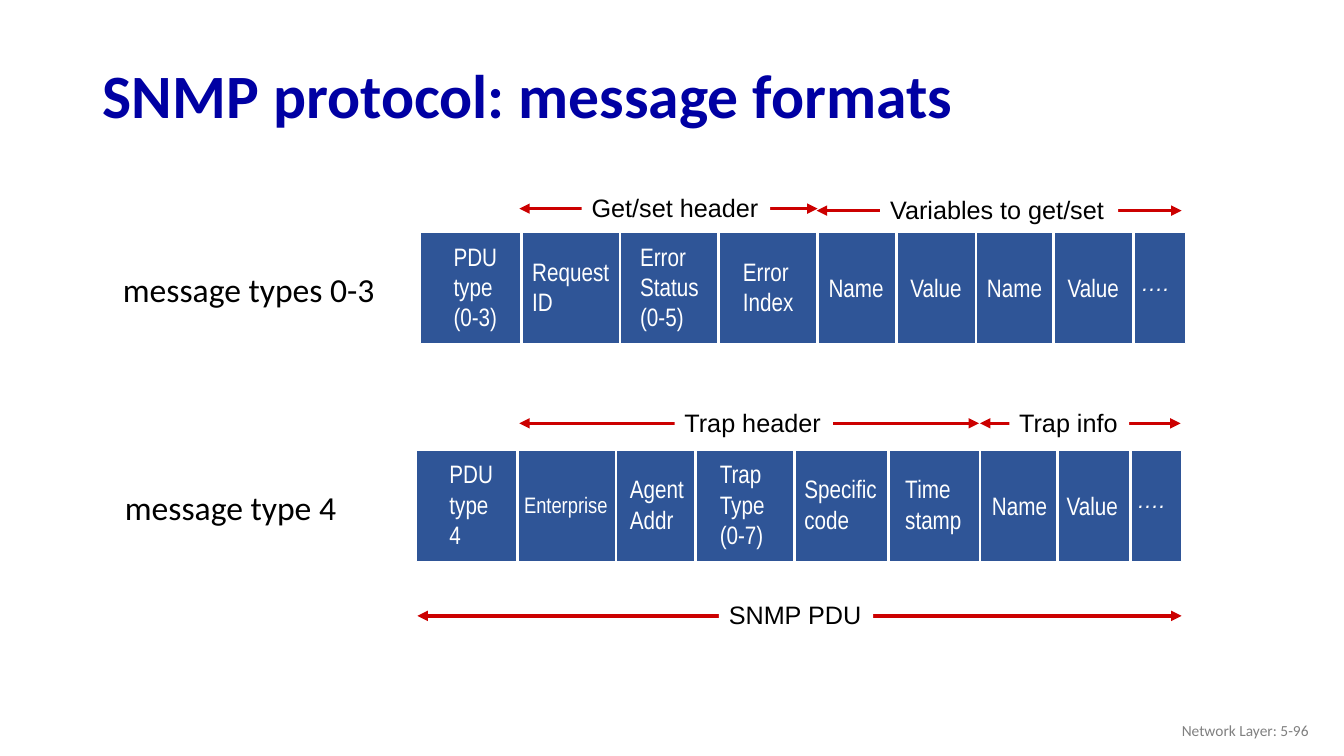
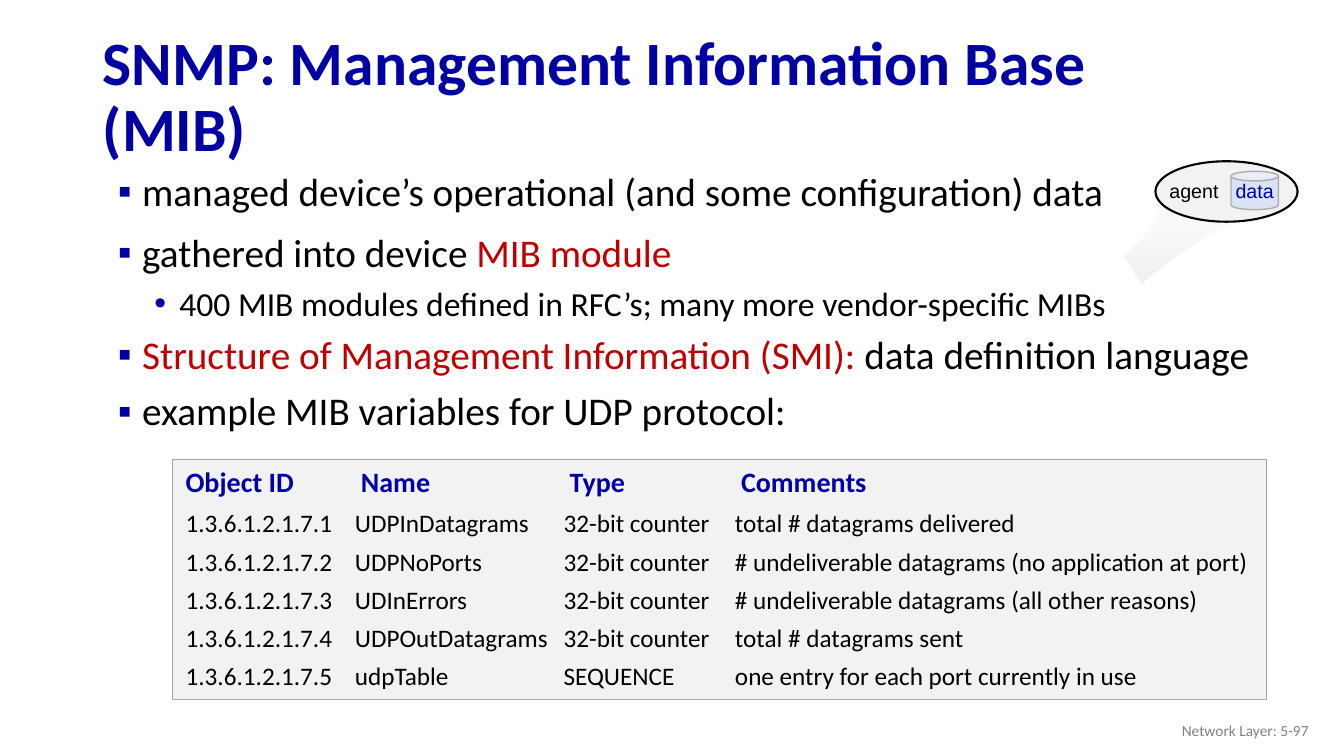
from lxml import etree
from pptx import Presentation
from pptx.dml.color import RGBColor
from pptx.enum.shapes import MSO_CONNECTOR, MSO_SHAPE
from pptx.enum.text import MSO_ANCHOR, MSO_AUTO_SIZE, PP_ALIGN
from pptx.oxml.ns import qn
from pptx.util import Inches, Pt

LEFT, CENTER, RIGHT = PP_ALIGN.LEFT, PP_ALIGN.CENTER, PP_ALIGN.RIGHT
MIDDLE = MSO_ANCHOR.MIDDLE
RECTANGLE, OVAL, CAN = MSO_SHAPE.RECTANGLE, MSO_SHAPE.OVAL, MSO_SHAPE.CAN
STRAIGHT = MSO_CONNECTOR.STRAIGHT

TITLE_BLUE = RGBColor(0x00, 0x00, 0xA3)
TEXT_BLUE = RGBColor(0x00, 0x00, 0xA8)
BAND_BLUE = RGBColor(0x2F, 0x55, 0x97)
PALE_BLUE = RGBColor(0xDA, 0xE3, 0xF3)
ARROW_RED = RGBColor(0xCC, 0x00, 0x00)
TERM_RED = RGBColor(0xC0, 0x00, 0x00)
BLACK = RGBColor(0x00, 0x00, 0x00)
WHITE = RGBColor(0xFF, 0xFF, 0xFF)
PANEL_GRAY = RGBColor(0xF2, 0xF2, 0xF2)
BORDER_GRAY = RGBColor(0xA6, 0xA6, 0xA6)
CAN_GRAY = RGBColor(0xAF, 0xAB, 0xAB)
FOOTER_GRAY = RGBColor(0x80, 0x80, 0x80)

prs = Presentation()
prs.slide_width, prs.slide_height = Inches(13.33), Inches(7.5)


def add_text(slide, text, left, top, width, height, font, size, color, align=LEFT):
    box = slide.shapes.add_textbox(Inches(left), Inches(top), Inches(width), Inches(height))
    frame = box.text_frame
    frame.text = text
    frame.word_wrap = True
    frame.vertical_anchor = MIDDLE
    if align == LEFT:
        frame.margin_right = 0
    for paragraph in frame.paragraphs:
        paragraph.alignment = align
        paragraph.font.name, paragraph.font.size = font, Pt(size)
        paragraph.font.color.rgb = color
    return box


def add_shape(slide, kind, left, top, width, height, fill, line, line_width):
    shape = slide.shapes.add_shape(kind, Inches(left), Inches(top), Inches(width), Inches(height))
    shape.shadow.inherit = False
    shape.fill.solid()
    shape.fill.fore_color.rgb = fill
    shape.line.color.rgb = line
    shape.line.width = Pt(line_width)
    return shape


# Titles and footers
slides = []
for layout_index, title_text, page in [
    (5, "SNMP protocol: message formats", 96),
    (1, "SNMP: Management Information Base (MIB)", 97),
]:
    slide = prs.slides.add_slide(prs.slide_layouts[layout_index])
    title = slide.shapes.title
    title.left, title.top = Inches(0.92), Inches(0.49)
    title.width, title.height = Inches(11.5), Inches(0.98)
    title.text_frame.text = title_text
    title.text_frame.auto_size = MSO_AUTO_SIZE.NONE
    title.text_frame.vertical_anchor = MIDDLE
    heading = title.text_frame.paragraphs[0]
    heading.alignment = LEFT
    heading.line_spacing = 0.9
    heading.font.name, heading.font.size, heading.font.bold = "Calibri", Pt(44), True
    heading.font.color.rgb = TITLE_BLUE
    add_text(slide, f"Network Layer: 5-{page}", 10.08, 7.05, 3, 0.4, "Calibri", 11, FOOTER_GRAY, RIGHT)
    slides.append(slide)
formats_slide, mib_slide = slides

# Message formats: each field has a text, the left of its text box and its width;
# the dividers stand between the fields
BAND_WIDTH, BAND_HEIGHT = 7.59, 1.1
messages = [
    ("message types 0-3", 1.12, 4.17, 2.31, [5.17, 6.15, 7.13, 8.11, 8.89, 9.68, 10.45, 11.24], [
        ("PDU\ntype\n(0-3)", 4.4, 0.64), ("Request\nID", 5.18, 0.97),
        ("Error\nStatus\n(0-5)", 6.25, 0.79), ("Error\nIndex", 7.27, 0.71),
        ("Name", 8.12, 0.76), ("Value", 8.93, 0.72),
        ("Name", 9.69, 0.75), ("Value", 10.49, 0.72), ("….", 11.22, 0.54),
    ]),
    ("message type 4", 1.14, 4.13, 4.47, [5.13, 6.11, 6.9, 7.88, 8.81, 9.72, 10.49, 11.21], [
        ("PDU\ntype\n4", 4.36, 0.64), ("Enterprise", 5.1, 1.04),
        ("Agent\nAddr", 6.15, 0.74), ("Trap\nType\n(0-7)", 7.04, 0.65),
        ("Specific\ncode", 7.88, 0.93), ("Time\nstamp", 8.88, 0.77),
        ("Name", 9.74, 0.75), ("Value", 10.48, 0.72), ("….", 11.18, 0.54),
    ]),
]
for message, message_left, band_left, top, dividers, fields in messages:
    add_text(formats_slide, message, message_left, top + 0.31, 2.8, 0.5, "Calibri", 24, BLACK)
    add_shape(formats_slide, RECTANGLE, band_left, top, BAND_WIDTH, BAND_HEIGHT,
              BAND_BLUE, WHITE, 0.75)
    for x in dividers:
        divider = formats_slide.shapes.add_connector(
            STRAIGHT, Inches(x), Inches(top), Inches(x), Inches(top + BAND_HEIGHT))
        divider.line.color.rgb = WHITE
        divider.line.width = Pt(2)
        etree.SubElement(divider._element.spPr, qn("a:effectLst"))
    for text, left, width in fields:
        is_dots = text == "…."
        height = 0.1 + 0.3 * len(text.split("\n"))
        middle = top + BAND_HEIGHT / 2 - (0.02 if "\n" in text else 0.01)
        field = add_text(formats_slide, text, left, middle - height / 2, width, height,
                         "Arial" if is_dots else "Arial Narrow",
                         16 if is_dots or text == "Enterprise" else 18, WHITE)
        if is_dots:
            dots = field.text_frame.paragraphs[0]
            dots.line_spacing = Pt(12)
            dots.font.italic = True

for label, start, end, y, label_left, label_width in [
    ("Get/set header", 5.15, 8.11, 2.07, 5.77, 1.87),
    ("Variables to get/set", 8.1, 11.72, 2.09, 8.73, 2.36),
    ("Trap header", 5.15, 9.71, 4.2, 6.69, 1.57),
    ("Trap info", 9.72, 11.71, 4.2, 10.01, 1.19),
    ("SNMP PDU", 4.14, 11.72, 6.11, 7.13, 1.53),
]:
    arrow = formats_slide.shapes.add_connector(
        STRAIGHT, Inches(start), Inches(y), Inches(end), Inches(y))
    arrow.line.color.rgb = ARROW_RED
    arrow.line.width = Pt(2.5)
    arrow_line = arrow.line._get_or_add_ln()
    for arrowhead in ("a:headEnd", "a:tailEnd"):
        etree.SubElement(arrow_line, qn(arrowhead), type="triangle")
    etree.SubElement(arrow._element.spPr, qn("a:effectLst"))
    span_label = add_text(formats_slide, label, label_left, y - 0.21, label_width, 0.4,
                          "Arial", 18, BLACK)
    span_label.fill.solid()
    span_label.fill.fore_color.rgb = WHITE

# MIB: bullet list of (level, space before, line spacing, runs)
body = mib_slide.placeholders[1]
body.left, body.top, body.width, body.height = Inches(0.92), Inches(1.61), Inches(11.78), Inches(2.8)
body.text_frame.auto_size = MSO_AUTO_SIZE.NONE
bullets = [
    (0, 0, 1, [("managed device’s operational (and some configuration) data", BLACK)]),
    (0, 10, 1, [("gathered into device ", BLACK), ("MIB module", TERM_RED)]),
    (1, 5, 1, [("400 MIB modules defined in RFC’s; many more vendor-specific MIBs", BLACK)]),
    (0, 9, 0.9, [("Structure of Management Information (SMI): ", TERM_RED),
                 ("data definition language", BLACK)]),
    (0, 10, 0.9, [("example MIB variables for UDP protocol:", BLACK)]),
]
bullet_styles = [("▪", 0.39, 0.24, 28, TITLE_BLUE), ("•", 0.76, 0.25, 24, TEXT_BLUE)]
for index, (level, space, spacing, runs) in enumerate(bullets):
    symbol, indent, hanging, size, bullet_color = bullet_styles[level]
    paragraph = body.text_frame.paragraphs[0] if index == 0 else body.text_frame.add_paragraph()
    paragraph.level = level
    paragraph.space_before = Pt(space)
    paragraph.line_spacing = float(spacing)
    properties = paragraph._p.get_or_add_pPr()
    properties.set("marL", str(Inches(indent)))
    properties.set("indent", str(-Inches(hanging)))
    color_node = etree.SubElement(properties, qn("a:buClr"))
    etree.SubElement(color_node, qn("a:srgbClr"), val=str(bullet_color))
    etree.SubElement(properties, qn("a:buFont"), typeface="Arial")
    etree.SubElement(properties, qn("a:buChar"), char=symbol)
    paragraph.font.name, paragraph.font.size = "Calibri", Pt(size)
    for text, color in runs:
        run = paragraph.add_run()
        run.text = text
        run.font.color.rgb = color

# MIB: UDP variables
add_shape(mib_slide, RECTANGLE, 1.71, 4.56, 10.85, 2.38, PANEL_GRAY, BORDER_GRAY, 1)
variables = [
    ("Object ID", "Name", "Type", "Comments"),
    ("1.3.6.1.2.1.7.1", "UDPInDatagrams", "32-bit counter", "total # datagrams delivered"),
    ("1.3.6.1.2.1.7.2", "UDPNoPorts", "32-bit counter",
     "# undeliverable datagrams (no application at port)"),
    ("1.3.6.1.2.1.7.3", "UDInErrors", "32-bit counter",
     "# undeliverable datagrams (all other reasons)"),
    ("1.3.6.1.2.1.7.4", "UDPOutDatagrams", "32-bit counter", "total # datagrams sent"),
    ("1.3.6.1.2.1.7.5", "udpTable", "SEQUENCE", "one entry for each port currently in use"),
]
column_widths = [1.68, 2.07, 1.7, 5.22]
header_height, row_height = 0.44, 0.38
table = mib_slide.shapes.add_table(
    len(variables), len(column_widths), Inches(1.84), Inches(4.57), Inches(sum(column_widths)),
    Inches(header_height + row_height * (len(variables) - 1))).table
table.first_row = table.horz_banding = False
for column, width in zip(table.columns, column_widths):
    column.width = Inches(width)
for row_index, values in enumerate(variables):
    is_header = row_index == 0
    table.rows[row_index].height = Inches(header_height if is_header else row_height)
    for column_index, value in enumerate(values):
        cell = table.cell(row_index, column_index)
        cell.text = value
        cell.vertical_anchor = MIDDLE
        cell.margin_left = Inches(0.06 if is_header and column_index else 0)
        cell.margin_right = cell.margin_top = cell.margin_bottom = 0
        for side in ("a:lnL", "a:lnR", "a:lnT", "a:lnB"):
            border = etree.SubElement(cell._tc.get_or_add_tcPr(), qn(side))
            etree.SubElement(border, qn("a:noFill"))
        cell.fill.solid()
        cell.fill.fore_color.rgb = PANEL_GRAY
        font = cell.text_frame.paragraphs[0].font
        font.name, font.size, font.bold = "Calibri", Pt(20 if is_header else 18), is_header
        font.color.rgb = TEXT_BLUE if is_header else BLACK

# MIB: agent callout, its beam bounded by two Bézier curves
STEPS = 12
beam_curves = [
    [(11.14, 2.53), (11.49, 2.25), (11.48, 2.14), (11.45, 1.83)],
    [(12.91, 1.92), (12.04, 2.27), (11.83, 2.38), (11.32, 2.81)],
]
beam_points = []
for curve in beam_curves:
    for step in range(STEPS + 1):
        t = step / STEPS
        weights = [(1 - t) ** 3, 3 * t * (1 - t) ** 2, 3 * t ** 2 * (1 - t), t ** 3]
        beam_points.append(tuple(
            Inches(sum(w * point[axis] for w, point in zip(weights, curve))) for axis in (0, 1)))
outline = mib_slide.shapes.build_freeform(*beam_points[0])
outline.add_line_segments(beam_points[1:], close=True)
beam = outline.convert_to_shape()
beam.shadow.inherit = False
beam.line.fill.background()
beam.fill.gradient()
beam.fill.gradient_angle = 270
for stop, color in zip(beam.fill.gradient_stops, (WHITE, PANEL_GRAY)):
    stop.color.rgb = color
first_color = beam._element.xpath(".//a:gs[1]/a:srgbClr")[0]
etree.SubElement(first_color, qn("a:alpha"), val="72000")

add_shape(mib_slide, OVAL, 11.46, 1.6, 1.41, 0.6, PANEL_GRAY, BLACK, 1.5)
add_text(mib_slide, "agent", 11.5, 1.72, 0.69, 0.34, "Arial", 14, BLACK)
data_store = add_shape(mib_slide, CAN, 12.21, 1.7, 0.47, 0.38, PALE_BLUE, CAN_GRAY, 1)
data_frame = data_store.text_frame
data_frame.text = "data"
data_frame.word_wrap = False
data_frame.vertical_anchor = MIDDLE
data_frame.margin_left = data_frame.margin_right = 0
data_frame.margin_top, data_frame.margin_bottom = 0, Inches(0.04)
data_label = data_frame.paragraphs[0]
data_label.alignment = CENTER
data_label.font.name, data_label.font.size = "Arial", Pt(14)
data_label.font.color.rgb = TEXT_BLUE

prs.save("out.pptx")
